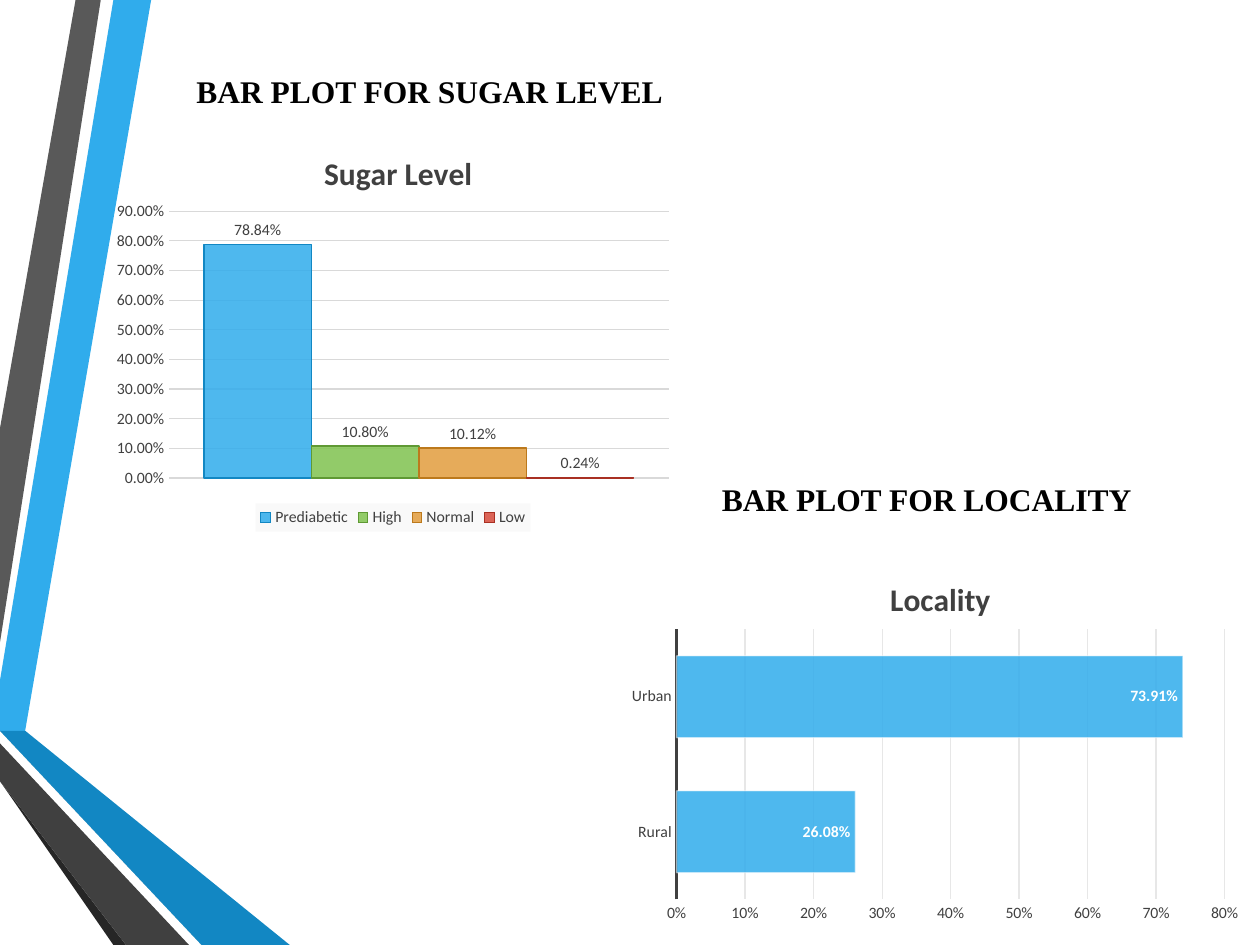
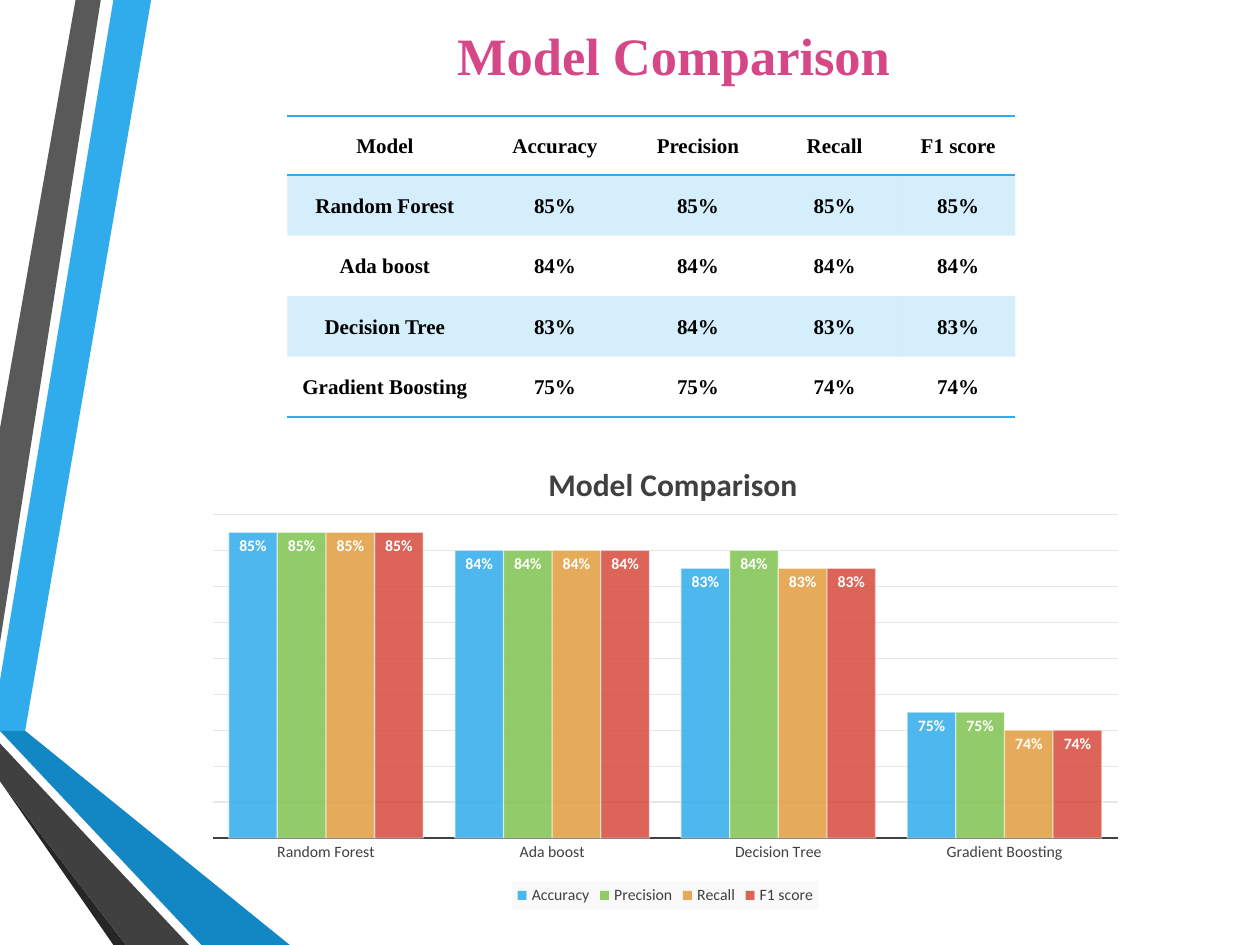
"""Build two slides of health charts and a table that compares models."""
import pptx
import pptx.chart.data
import pptx.dml.color
import pptx.enum.chart
import pptx.enum.text
import pptx.oxml
import pptx.oxml.ns
import pptx.util
from lxml import etree

RGB = pptx.dml.color.RGBColor
BLUE = RGB(0x30, 0xAC, 0xEC)
GREEN = RGB(0x80, 0xC3, 0x4F)
GOLD = RGB(0xE2, 0x9D, 0x3E)
RED = RGB(0xD6, 0x4A, 0x3B)
DEEP = RGB(0x12, 0x87, 0xC3)
NAVY = RGB(0x0C, 0x5A, 0x82)
MOSS = RGB(0x5F, 0x99, 0x34)
BROWN = RGB(0xBC, 0x79, 0x1C)
WINE = RGB(0xA9, 0x30, 0x23)
PINK = RGB(0xD6, 0x47, 0x87)
BLACK = RGB(0, 0, 0)
COAL = RGB(0x26, 0x26, 0x26)
DARK = RGB(0x40, 0x40, 0x40)
GREY = RGB(0x59, 0x59, 0x59)
RULE = RGB(0xD9, 0xD9, 0xD9)
PALE = RGB(0xE7, 0xE7, 0xE7)
MIST = RGB(0xF9, 0xF9, 0xF9)
WHITE = RGB(0xFF, 0xFF, 0xFF)

SERIF, SANS = "Times New Roman", "Calibri"
COLS, ROWS = 100, 75
HUES = [BLUE, GREEN, GOLD, RED]
EDGES = [DEEP, MOSS, BROWN, WINE]
BANDS = [
    (BLUE, [(0, 54.4), (0, 57.5), (2.2, 57.9), (11.7, 0), (8.9, 0)]),
    (GREY, [(8.3, 0), (5.5, 0), (0, 33.6), (0, 50.6)]),
    (COAL, [(0, 61.9), (0, 62.1), (9.3, 75), (9.9, 75)]),
    (NAVY, [(0, 57.9), (0, 58), (15.6, 75), (16.3, 75)]),
    (DEEP, [(0, 57.9), (16.3, 75), (23.3, 75), (2.2, 57.9), (0, 57.5)]),
    (DARK, [(0, 61.9), (9.9, 75), (15.1, 75), (0, 58.6)]),
]
MODELS = ["Random Forest", "Ada boost", "Decision Tree", "Gradient Boosting"]
SCORES = {
    "Accuracy": [0.85, 0.84, 0.83, 0.75],
    "Precision": [0.85, 0.84, 0.84, 0.75],
    "Recall": [0.85, 0.84, 0.83, 0.74],
    "F1 score": [0.85, 0.84, 0.83, 0.74],
}
PLAIN = "{2D5ABB26-0587-4C30-8999-92F81FD0307C}"
Kind = pptx.enum.chart.XL_CHART_TYPE
Spot = pptx.enum.chart.XL_LABEL_POSITION


def fade(node, route, share):
    for hue in node.xpath(route + "/a:solidFill/a:srgbClr"):
        etree.SubElement(hue, pptx.oxml.ns.qn("a:alpha"), val=str(share * 1000))


def place(node, index, **sizes):
    for old in node.xpath("c:layout"):
        node.remove(old)
    layout = etree.Element(pptx.oxml.ns.qn("c:layout"))
    manual = etree.SubElement(layout, pptx.oxml.ns.qn("c:manualLayout"))
    if "w" in sizes:
        etree.SubElement(manual, pptx.oxml.ns.qn("c:layoutTarget"), val="inner")
    for mode in ("xMode", "yMode"):
        etree.SubElement(manual, pptx.oxml.ns.qn("c:" + mode), val="edge")
    for name, size in sizes.items():
        etree.SubElement(manual, pptx.oxml.ns.qn("c:" + name), val=str(size))
    node.insert(index, layout)


class Deck:
    def __init__(self):
        self.prs = pptx.Presentation()
        self.prs.slide_width = pptx.util.Inches(10)
        self.prs.slide_height = pptx.util.Inches(7.5)
        self.unit = self.prs.slide_width // COLS

    def grid(self, *cells):
        return [round(cell * self.unit) for cell in cells]

    def page(self):
        self.slide = self.prs.slides.add_slide(self.prs.slide_layouts[6])
        for hue, points in BANDS:
            self.band(hue, points)

    def band(self, hue, points):
        pen = self.slide.shapes.build_freeform(*points[0], scale=self.unit)
        pen.add_line_segments(points[1:], close=True)
        shape = pen.convert_to_shape()
        shape.shadow.inherit = False
        shape.fill.solid()
        shape.fill.fore_color.rgb = hue
        shape.line.fill.background()

    def style(self, font, size, hue, name=SERIF, bold=True):
        font.size, font.name, font.bold = pptx.util.Pt(size), name, bold
        font.color.rgb = hue

    def title(self, text, spot, size=18, hue=BLACK):
        frame = self.slide.shapes.add_textbox(*self.grid(*spot)).text_frame
        frame.word_wrap = True
        frame.auto_size = pptx.enum.text.MSO_AUTO_SIZE.SHAPE_TO_FIT_TEXT
        frame.text = text
        self.style(frame.paragraphs[0].font, size, hue)

    def table(self, rows, spot, widths, heights):
        shape = self.slide.shapes.add_table(len(rows), len(widths), *self.grid(*spot))
        table = shape.table
        table.first_row = table.horz_banding = False
        shape.element.xpath(".//a:tableStyleId")[0].text = PLAIN
        for column, width in zip(table.columns, self.grid(*widths)):
            column.width = width
        for row, height in zip(table.rows, self.grid(*heights)):
            row.height = height
        for r, words in enumerate(rows):
            sides = {0: ["lnB", "lnT"], len(rows) - 1: ["lnB"]}.get(r, [])
            for c, text in enumerate(words):
                self.cell(table.cell(r, c), text, r % 2 == 1, sides)

    def cell(self, cell, text, shade, sides):
        cell.text = text
        cell.vertical_anchor = pptx.enum.text.MSO_ANCHOR.MIDDLE
        cell.margin_left = cell.margin_right = pptx.util.Inches(0.07)
        cell.margin_top = cell.margin_bottom = 0
        para = cell.text_frame.paragraphs[0]
        para.alignment = pptx.enum.text.PP_ALIGN.CENTER
        para.line_spacing, para.space_after = 1.07, pptx.util.Pt(8)
        self.style(para.font, 12, BLACK)
        props = cell._tc.get_or_add_tcPr()
        if shade:
            cell.fill.solid()
            cell.fill.fore_color.rgb = BLUE
            fade(props, ".", 20)
        else:
            cell.fill.background()
        for side in sides:
            props.insert(0, pptx.oxml.parse_xml(
                f'<a:{side} {pptx.oxml.ns.nsdecls("a")} w="12700"><a:solidFill>'
                f'<a:srgbClr val="{BLUE}"/></a:solidFill></a:{side}>'))

    def chart(self, kind, name, spot, cats, data, form, head, plot, inside=True):
        source = pptx.chart.data.CategoryChartData(number_format=form)
        source.categories = cats
        for label, values in data.items():
            source.add_series(label, values)
        chart = self.slide.shapes.add_chart(kind, *self.grid(*spot), source).chart
        self.style(chart.font, 9, DARK, SANS, False)
        chart.has_title = True
        chart.chart_title.text_frame.text = name
        self.style(chart.chart_title.text_frame.paragraphs[0].font, 18, DARK, SANS)
        root = chart._chartSpace
        place(root.xpath("c:chart/c:title")[0], 1, **dict(zip("xy", head)))
        place(root.xpath("c:chart/c:plotArea")[0], 0, **dict(zip("xywh", plot)))
        chart.plots[0].gap_width = 65
        chart.plots[0].vary_by_categories = False
        for series, hue, edge in zip(chart.plots[0].series, HUES, EDGES):
            self.bars(series, hue, WHITE if inside else edge, form, inside)
        chart.has_legend = len(data) > 1
        if chart.has_legend:
            self.legend(chart)
        return chart

    def bars(self, series, hue, edge, form, inside):
        series.format.fill.solid()
        series.format.fill.fore_color.rgb = hue
        series.format.line.color.rgb = edge
        series.format.line.width = pptx.util.Pt(0.75)
        fade(series._element, "c:spPr", 85)
        if inside:
            fade(series._element, "c:spPr/a:ln", 50)
        labels = series.data_labels
        labels.show_value = True
        labels.number_format, labels.number_format_is_linked = form, False
        labels.position = Spot.INSIDE_END if inside else Spot.OUTSIDE_END
        self.style(labels.font, 9, WHITE if inside else DARK, SANS, inside)

    def legend(self, chart):
        chart.legend.position = pptx.enum.chart.XL_LEGEND_POSITION.BOTTOM
        chart.legend.include_in_layout = False
        chart._chartSpace.xpath(".//c:legend/c:overlay")[0].addnext(
            pptx.oxml.parse_xml(
                f'<c:spPr {pptx.oxml.ns.nsdecls("c", "a")}><a:solidFill>'
                f'<a:srgbClr val="{MIST}"/></a:solidFill></c:spPr>'))

    def axes(self, chart, low, high, step, form, rule=PALE, names=True, scale=True):
        cat, val = chart.category_axis, chart.value_axis
        for axis in (cat, val):
            axis.major_tick_mark = pptx.enum.chart.XL_TICK_MARK.NONE
        cat.visible, val.visible = names, scale
        cat.format.line.color.rgb = DARK
        cat.format.line.width = pptx.util.Pt(1.5)
        val.format.line.fill.background()
        val.minimum_scale, val.maximum_scale, val.major_unit = low, high, step
        val.tick_labels.number_format = form
        val.tick_labels.number_format_is_linked = False
        val.has_major_gridlines = True
        val.major_gridlines.format.line.color.rgb = rule
        val.major_gridlines.format.line.width = pptx.util.Pt(0.75)


def main():
    deck = Deck()
    deck.page()
    deck.title("BAR PLOT FOR SUGAR LEVEL", (14.6, 5.2, 42.9, 4))
    deck.title("BAR PLOT FOR LOCALITY", (56.3, 37.6, 42.9, 4))
    sugar = {"Prediabetic": [0.7884], "High": [0.108], "Normal": [0.1012], "Low": [0.0024]}
    chart = deck.chart(Kind.COLUMN_CLUSTERED, "Sugar Level", (8.4, 9.6, 45.6, 32.6),
                       ["1"], sugar, "0.00%", (0.37, 0.06),
                       (0.11, 0.22, 0.87, 0.65), inside=False)
    deck.axes(chart, 0, 0.9, 0.1, "0.00%", RULE, names=False)
    chart = deck.chart(Kind.BAR_CLUSTERED, "Locality", (49.2, 43.6, 50, 30.2),
                       ["Rural", "Urban"], {"Series 1": [0.2608, 0.7391]}, "0.00%",
                       (0.42, 0.06), (0.09, 0.21, 0.87, 0.71))
    deck.axes(chart, 0, 0.8, 0.1, "0%")

    deck.page()
    deck.title("Model Comparison", (35.3, 1.3, 44.1, 6.1), 30, PINK)
    rows = [["Model", *SCORES]]
    for model, *marks in zip(MODELS, *SCORES.values()):
        rows.append([model, *(f"{mark:.0%}" for mark in marks)])
    deck.table(rows, (22.8, 9.2, 57.9, 24.1), [15.5, 11.5, 11.2, 10.5, 9.1],
               [4.7] + [4.8] * len(MODELS))
    chart = deck.chart(Kind.COLUMN_CLUSTERED, "Model Comparison", (15.4, 34.4, 74.8, 37.8),
                       MODELS, SCORES, "0%", (0.37, 0.05), (0.02, 0.17, 0.96, 0.68))
    deck.axes(chart, 0.68, 0.86, 0.02, "0%", scale=False)
    deck.prs.save("out.pptx")


if __name__ == "__main__":
    main()
